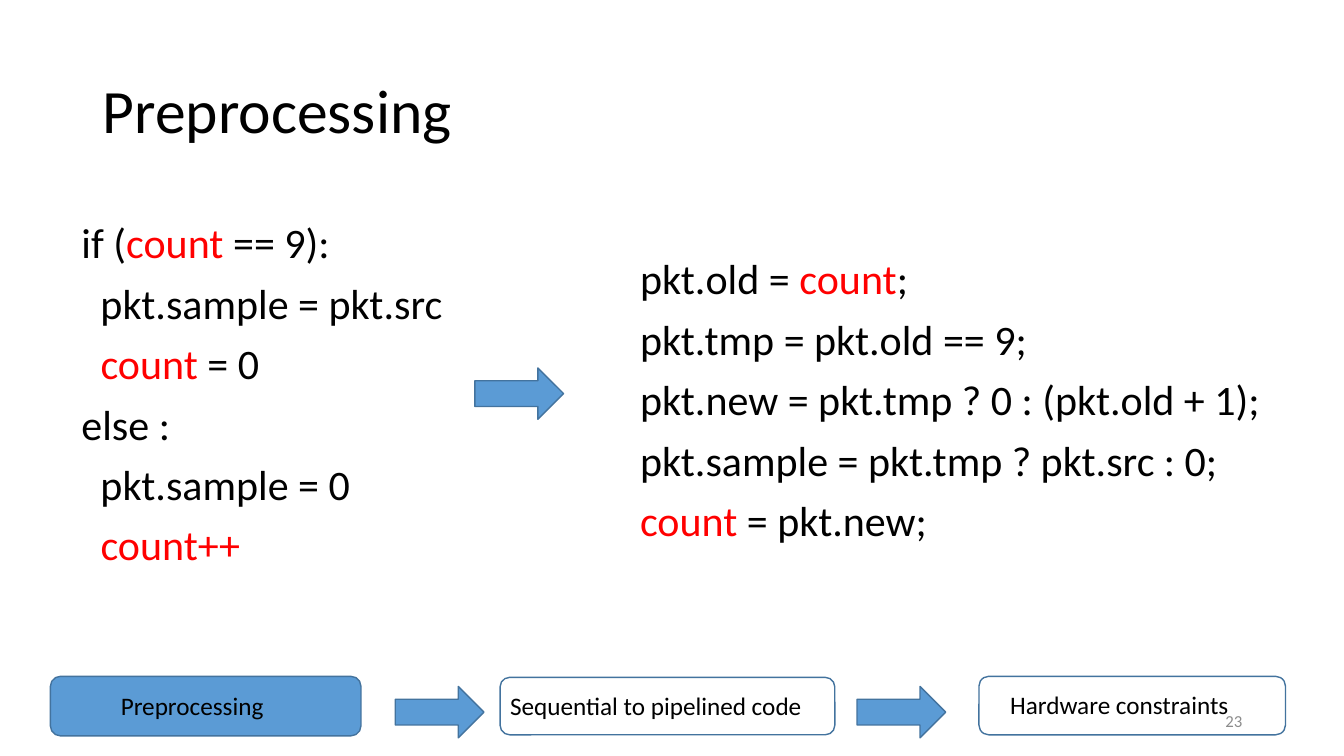
from pptx import Presentation
from pptx import util as u
from pptx.dml.color import RGBColor
from pptx.enum import shapes, text

BLACK, RED, GREY = "000000", "FF0000", "8C8C8C"
BLUE, OUTLINE = "5B9BD5", "43739E"


def add_block(kind, left, top, width, height, fill=None):
    block = page.shapes.add_shape(kind, *map(u.Inches, (left, top, width, height)))
    block.shadow.inherit = False
    block.line.color.rgb = RGBColor.from_string(OUTLINE)
    block.line.width = u.Pt(1)
    if fill:
        block.fill.solid()
        block.fill.fore_color.rgb = RGBColor.from_string(fill)
    else:
        block.fill.background()


def add_lines(lines, left, top, width, height, size, color=BLACK, spacing=1.0):
    box = page.shapes.add_textbox(*map(u.Inches, (left, top, width, height)))
    frame = box.text_frame
    frame.word_wrap = True
    for number, line in enumerate(lines):
        para = frame.paragraphs[0] if number == 0 else frame.add_paragraph()
        para.line_spacing = spacing
        para.font.size = u.Pt(size)
        para.font.name = "Calibri"
        for index, part in enumerate(line.split("|")):
            if part:
                span = para.add_run()
                span.text = part
                span.font.color.rgb = RGBColor.from_string(RED if index % 2 else color)
    return frame


deck = Presentation()
deck.slide_width = u.Inches(13.33)
deck.slide_height = u.Inches(7.5)
page = deck.slides.add_slide(deck.slide_layouts[5])

title = page.shapes.title
title.left, title.top = u.Inches(0.92), u.Inches(0.4)
title.width, title.height = u.Inches(11.5), u.Inches(1.45)
title.text_frame.text = "Preprocessing"
title.text_frame.vertical_anchor = text.MSO_ANCHOR.MIDDLE
heading = title.text_frame.paragraphs[0]
heading.alignment = text.PP_ALIGN.LEFT
heading.line_spacing = 0.9
heading.font.size = u.Pt(44)
heading.font.name = "Calibri"
heading.font.color.rgb = RGBColor.from_string(BLACK)

branching_code = [
    "if (|count| == 9):",
    "  pkt.sample = pkt.src",
    "  |count| = 0",
    "else :",
    "  pkt.sample = 0",
    "  |count++|",
]
straight_code = [
    "pkt.old = |count|;",
    "pkt.tmp = pkt.old == 9;",
    "pkt.new = pkt.tmp ? 0 : (pkt.old + 1);",
    "pkt.sample = pkt.tmp ? pkt.src : 0;",
    "|count| = pkt.new;",
]
add_lines(branching_code, 0.71, 2, 4.19, 3.74, 30, spacing=1.2)
add_lines(straight_code, 6.25, 2.36, 6.96, 3.13, 30, spacing=1.2)

for left, top in [(4.71, 3.65), (3.92, 6.81), (8.5, 6.81)]:
    add_block(shapes.MSO_SHAPE.RIGHT_ARROW, left, top, 0.88, 0.51, BLUE)

stages = [
    ("Preprocessing", (0.5, 6.71, 3.08, 0.59), BLUE, (1.1, 6.8, 1.76, 0.4)),
    ("Sequential to pipelined code", (4.96, 6.72, 3.32, 0.57), None, (4.96, 6.8, 3.39, 0.4)),
    ("Hardware constraints", (9.71, 6.71, 3.04, 0.58), None, (9.92, 6.79, 2.55, 0.4)),
]
for label, block_place, fill, label_place in stages:
    add_block(shapes.MSO_SHAPE.ROUNDED_RECTANGLE, *block_place, fill)
    add_lines([label], *label_place, 18)

page_number = add_lines(["23"], 9.42, 6.95, 3, 0.4, 12, GREY)
page_number.vertical_anchor = text.MSO_ANCHOR.MIDDLE
page_number.paragraphs[0].alignment = text.PP_ALIGN.RIGHT

deck.save("out.pptx")
